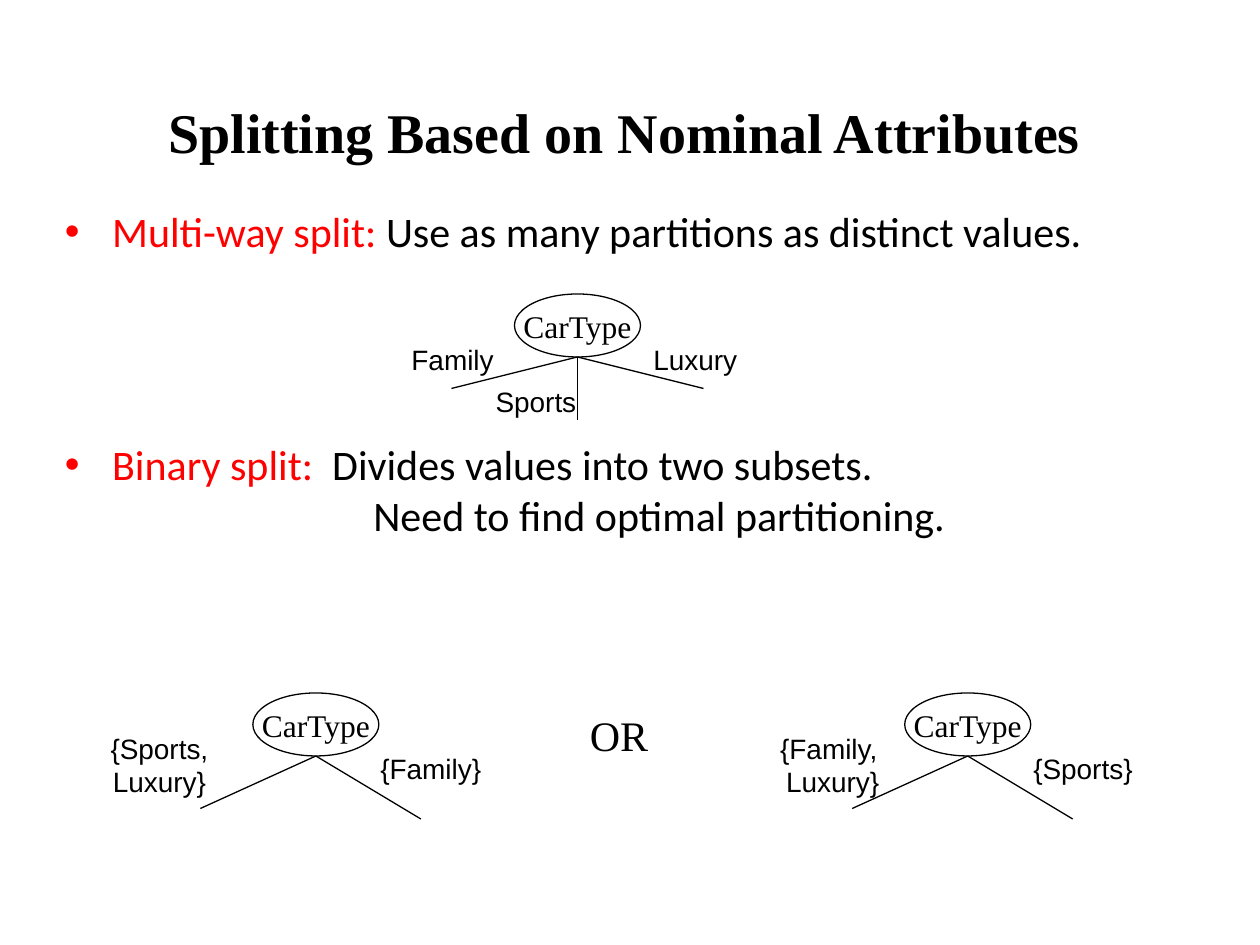
from dataclasses import dataclass

from lxml.etree import SubElement
from pptx import Presentation
from pptx.dml.color import RGBColor
from pptx.enum.shapes import MSO_CONNECTOR, MSO_SHAPE
from pptx.enum.text import MSO_ANCHOR, MSO_AUTO_SIZE, PP_ALIGN
from pptx.oxml.ns import qn
from pptx.util import Pt

COLORS = {"ink": "000000", "accent": "FF0000", "paper": "FFFFFF"}
SERIF, SANS, BODY = "Times New Roman", "Arial", "Calibri"
NODE_WIDTH, NODE_HEIGHT = 72, 36


@dataclass
class Span:
    text: str
    font: str
    size: float
    color: str = "ink"
    bold: bool = False
    spacing: float = 0


@dataclass
class Label:
    lines: list[str]
    left: float
    top: float
    width: float
    height: float = 26.6
    wrap: bool = False


@dataclass
class Tree:
    left: float
    top: float
    branches: list[tuple[float, float]]
    labels: list[Label]


@dataclass
class Entry:
    spans: list[Span]
    before: float
    indent: float
    bullet: bool = True


BINARY = [(-66, 30), (60, 36)]
TREES = [
    Tree(294, 168, [(-72, 18), (0, 36), (72, 18)], [
        Label(["Family"], 228, 192, 61.2),
        Label(["Sports"], 276, 216, 60.5),
        Label(["Luxury"], 366, 192, 62.6),
    ]),
    Tree(517, 396, BINARY, [
        Label(["{Family, ", "Luxury}"], 438, 414, 75.6, 46),
        Label(["{Sports}"], 583.2, 426, 71.3),
    ]),
    Tree(144.5, 396, BINARY, [
        Label(["{Sports, Luxury}"], 54, 414, 74.2, 46, True),
        Label(["{Family}"], 210.2, 426, 72),
    ]),
]
ENTRIES = [
    Entry([Span("Multi-way split:", BODY, 24, "accent"),
           Span(" Use as many partitions as distinct values.", BODY, 24)], 0, 27),
    Entry([Span("Binary split:", BODY, 24, "accent"),
           Span(" ", BODY, 24, spacing=5.4),
           Span("Divides values into two subsets.", BODY, 24)], 104.4, 27),
    Entry([Span("Need to find optimal partitioning.", BODY, 24)], 0, 176.3, False),
]


def rgb(name: str) -> RGBColor:
    """Look up a named colour."""
    return RGBColor.from_string(COLORS[name])


def add_span(para, item: Span) -> None:
    """Append one styled run to a paragraph."""
    span = para.add_run()
    span.text = item.text
    span.font.name, span.font.size = item.font, Pt(item.size)
    span.font.bold = item.bold
    span.font.color.rgb = rgb(item.color)
    if item.spacing:
        span._r.get_or_add_rPr().set("spc", str(round(item.spacing * 100)))


def center_text(box, lines: list[Span], wrap: bool = False, grow: bool = False) -> None:
    """Fill a box with centred lines."""
    frame = box.text_frame
    frame.word_wrap = wrap
    frame.auto_size = MSO_AUTO_SIZE.SHAPE_TO_FIT_TEXT if grow else MSO_AUTO_SIZE.NONE
    frame.vertical_anchor = MSO_ANCHOR.MIDDLE
    para = frame.paragraphs[0]
    para.alignment = PP_ALIGN.CENTER
    for index, line in enumerate(lines):
        if index:
            para.add_line_break()
        add_span(para, line)


def add_label(shapes, label: Label, font: str = SANS, size: float = 16) -> None:
    """Place a centred text label."""
    box = shapes.add_textbox(Pt(label.left), Pt(label.top), Pt(label.width), Pt(label.height))
    center_text(box, [Span(line, font, size) for line in label.lines], label.wrap, True)


def add_tree(page, tree: Tree) -> None:
    """Draw a root node with its branches and labels as a group."""
    shapes = page.shapes.add_group_shape().shapes
    node = shapes.add_shape(MSO_SHAPE.OVAL, Pt(tree.left), Pt(tree.top), Pt(NODE_WIDTH), Pt(NODE_HEIGHT))
    node.shadow.inherit = False
    node.fill.solid()
    node.fill.fore_color.rgb = rgb("paper")
    node.line.color.rgb, node.line.width = rgb("ink"), Pt(0.75)
    center_text(node, [Span("CarType", SERIF, 18)])
    root_x, root_y = tree.left + NODE_WIDTH / 2, tree.top + NODE_HEIGHT
    for across, down in tree.branches:
        branch = shapes.add_connector(MSO_CONNECTOR.STRAIGHT, Pt(root_x), Pt(root_y),
                                      Pt(root_x + across), Pt(root_y + down))
        branch.line.color.rgb, branch.line.width = rgb("ink"), Pt(0.75)
        SubElement(branch._element.spPr, qn("a:effectLst"))
    for label in tree.labels:
        add_label(shapes, label)


def add_body(page, entries: list[Entry]) -> None:
    """Write the bulleted text."""
    box = page.shapes.add_textbox(Pt(30), Pt(114), Pt(660), Pt(294))
    frame = box.text_frame
    frame.word_wrap = True
    for index, entry in enumerate(entries):
        para = frame.add_paragraph() if index else frame.paragraphs[0]
        properties = para._p.get_or_add_pPr()
        properties.set("marL", str(Pt(entry.indent)))
        if entry.bullet:
            properties.set("indent", str(Pt(-27)))
            SubElement(SubElement(properties, qn("a:buClr")), qn("a:srgbClr")).set("val", COLORS["accent"])
            SubElement(properties, qn("a:buFont")).set("typeface", SANS)
            SubElement(properties, qn("a:buChar")).set("char", "•")
        if index:
            para.space_before = Pt(entry.before)
        for item in entry.spans:
            add_span(para, item)


def main() -> None:
    """Build and save the slide."""
    deck = Presentation()
    deck.slide_width, deck.slide_height = Pt(720), Pt(540)
    page = deck.slides.add_slide(deck.slide_layouts[6])
    title = page.shapes.add_textbox(Pt(18), Pt(54), Pt(678), Pt(42))
    center_text(title, [Span("Splitting Based on Nominal Attributes", SERIF, 32, bold=True)], True)
    add_body(page, ENTRIES)
    for tree in TREES:
        add_tree(page, tree)
    add_label(page.shapes, Label(["OR"], 330, 402, 47.5, 36), SERIF, 24)
    deck.save("out.pptx")


if __name__ == "__main__":
    main()
